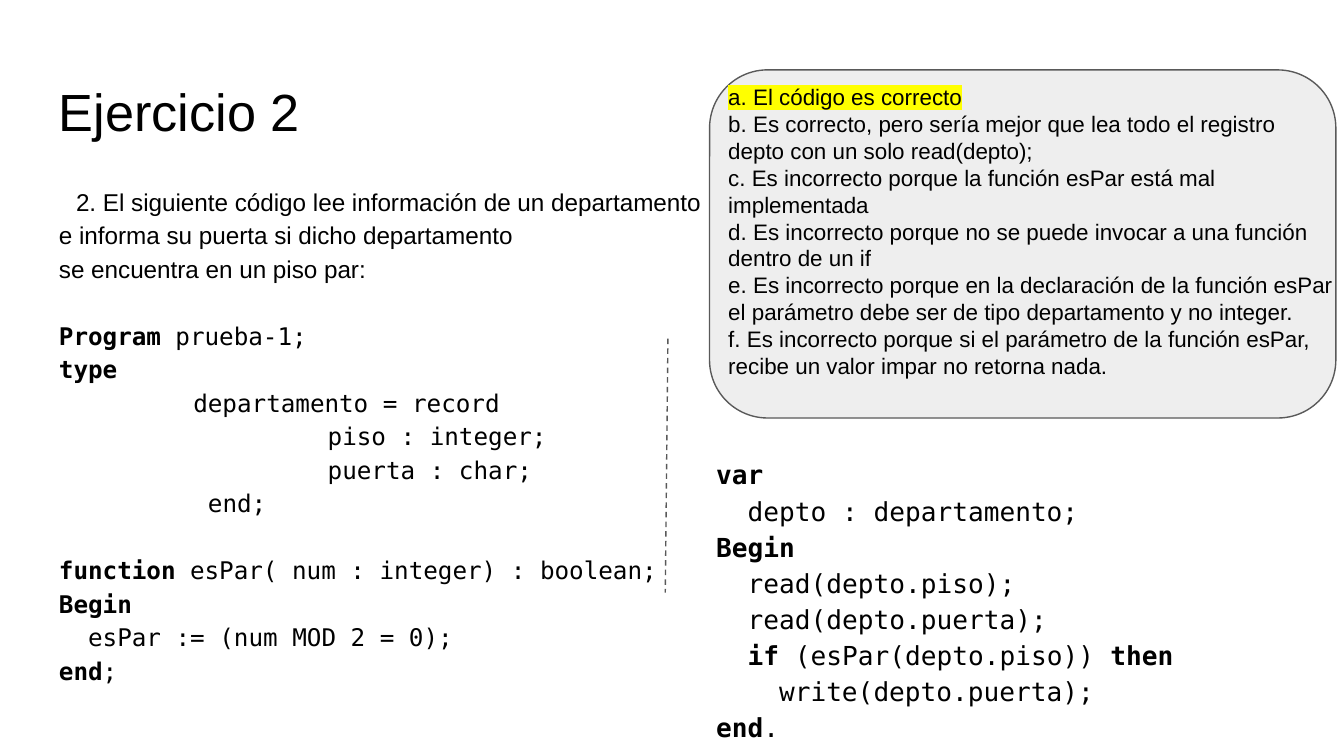
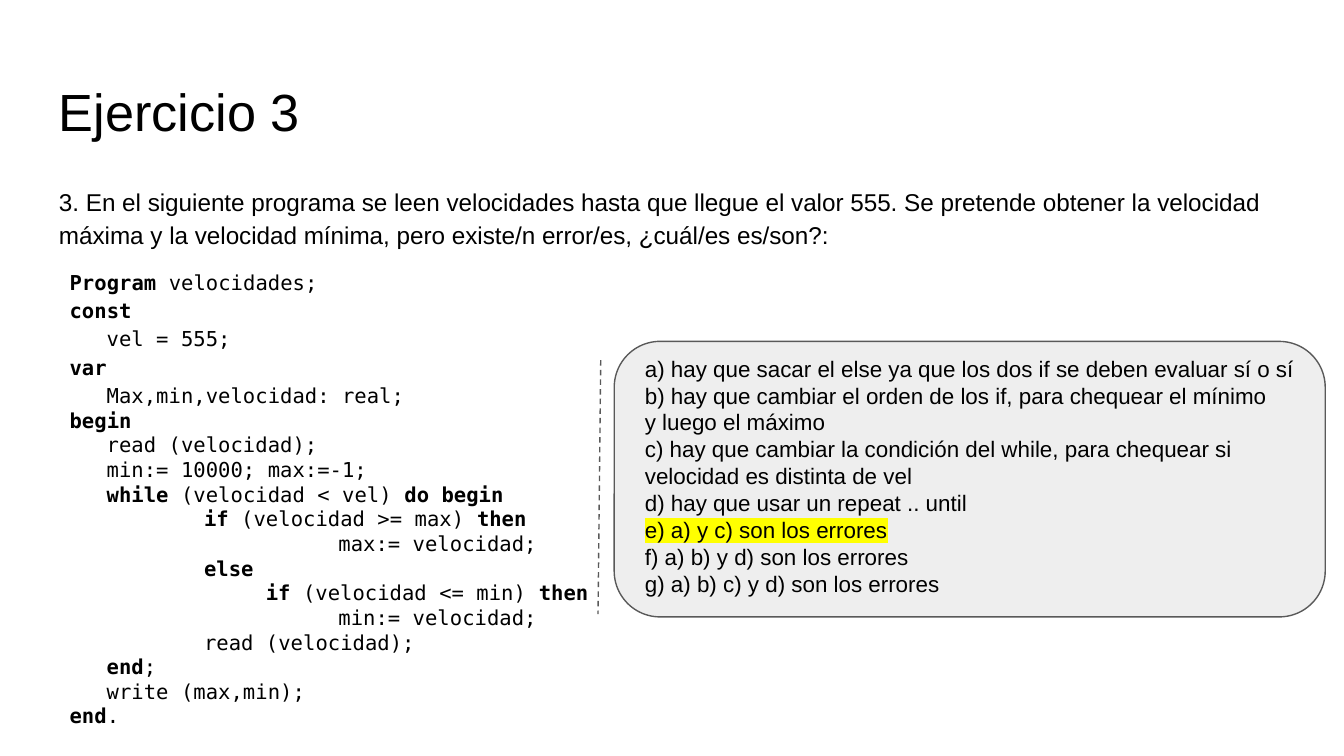
from lxml import etree
from pptx import Presentation
from pptx import util as u
from pptx.dml.color import RGBColor
from pptx.enum import dml, shapes, text
from pptx.oxml import ns

SANS, MONO = "Arial", "DejaVu Sans Mono"
BLACK, GREY, PANEL, YELLOW = "000000", "595959", "EEEEEE", "FFFF00"
TAB = 72            # one tab stop, in points
MONO_WIDTH = 0.602  # width of a code character, in ems
LEFT, WIDTH = 24.48, 671.04


def color(value):
    return RGBColor.from_string(value)


class Deck:
    def __init__(self):
        self.presentation = Presentation()
        self.presentation.slide_width = u.Pt(720)
        self.presentation.slide_height = u.Pt(405)
        self.slide = None

    def add_slide(self, title):
        self.slide = self.presentation.slides.add_slide(self.presentation.slide_layouts[6])
        frame = self.textbox(LEFT, 35.28, WIDTH, 45.36)
        self.add_text(frame, title, 28)

    def textbox(self, left, top, width, height, parent=None):
        owner = parent or self.slide
        box = owner.shapes.add_textbox(u.Pt(left), u.Pt(top), u.Pt(width), u.Pt(height))
        frame = box.text_frame
        frame.word_wrap = True
        frame.vertical_anchor = text.MSO_ANCHOR.TOP
        frame.margin_left = frame.margin_right = u.Pt(7.2)
        frame.margin_top = frame.margin_bottom = u.Pt(7.2)
        return frame

    def add_text(self, frame, line, size, font=SANS, spacing=None, highlight=None):
        """Add one paragraph; parts between asterisks are bold."""
        paragraph = frame.paragraphs[0]
        if paragraph.runs:
            paragraph = frame.add_paragraph()
        paragraph.line_spacing = spacing
        for index, part in enumerate(line.split("*")):
            if not part:
                continue
            run = paragraph.add_run()
            run.text = part
            run.font.size = u.Pt(size)
            run.font.bold = index % 2 == 1
            run.font.color.rgb = color(BLACK)
            if highlight:
                mark = etree.SubElement(run.font._element, ns.qn("a:highlight"))
                etree.SubElement(mark, ns.qn("a:srgbClr"), val=highlight)
            run.font.name = font
        return paragraph

    def code(self, frame, lines, size, spacing=1.15):
        """Each line holds its tabs, its columns after them and its text."""
        for tabs, columns, line in lines:
            paragraph = self.add_text(frame, line, size, MONO, spacing)
            indent = tabs * TAB + columns * MONO_WIDTH * size
            paragraph._p.get_or_add_pPr().set("marL", str(u.Pt(indent)))

    def divider(self, left, top):
        line = self.slide.shapes.add_connector(
            shapes.MSO_CONNECTOR.STRAIGHT,
            u.Pt(left), u.Pt(top), u.Pt(left - 1.44), u.Pt(top + 136.08))
        line.line.color.rgb = color(GREY)
        line.line.width = u.Pt(0.75)
        line.line.dash_style = dml.MSO_LINE.DASH
        etree.SubElement(line._element.spPr, ns.qn("a:effectLst"))

    def options(self, left, top, width, height, text_left, text_width, lines, answer):
        group = self.slide.shapes.add_group_shape()
        panel = group.shapes.add_shape(
            shapes.MSO_SHAPE.ROUNDED_RECTANGLE,
            u.Pt(left), u.Pt(top), u.Pt(width), u.Pt(height))
        panel.shadow.inherit = False
        panel.fill.solid()
        panel.fill.fore_color.rgb = color(PANEL)
        panel.line.color.rgb = color(GREY)
        panel.line.width = u.Pt(0.75)
        frame = self.textbox(text_left, top, text_width, 64, group)
        for line in lines:
            self.add_text(frame, line, 12, highlight=YELLOW if line == answer else None)


def exercise_2(deck):
    deck.add_slide("Ejercicio 2")

    # Statement and declarations
    body = deck.textbox(LEFT, 90.72, WIDTH, 269.28)
    statement = [
        "2. El siguiente código lee información de un departamento",
        "e informa su puerta si dicho departamento",
        "se encuentra en un piso par:",
    ]
    for line in statement:
        deck.add_text(body, line, 13, spacing=1.15)
    body.paragraphs[0]._p.get_or_add_pPr().set("indent", str(u.Pt(9.17)))
    deck.code(body, [
        (0, 0, "*Program* prueba-1;"),
        (0, 0, "*type*"),
        (1, 0, "departamento = record"),
        (2, 0, "piso : integer;"),
        (2, 0, "puerta : char;"),
        (1, 1, "end;"),
        (0, 0, "*function* esPar( num : integer) : boolean;"),
        (0, 0, "*Begin*"),
        (0, 2, "esPar := (num MOD 2 = 0);"),
        (0, 0, "*end*;"),
    ], 13)
    for paragraph in body.paragraphs:
        if paragraph.text.startswith(("Program", "function")):
            paragraph.space_before = u.Pt(18)

    # Main program
    program = deck.textbox(376.56, 236.16, 318.24, 172.8)
    deck.code(program, [
        (0, 0, "*var*"),
        (0, 2, "depto : departamento;"),
        (0, 0, "*Begin*"),
        (0, 2, "read(depto.piso);"),
        (0, 2, "read(depto.puerta);"),
        (0, 2, "*if* (esPar(depto.piso)) *then*"),
        (0, 4, "write(depto.puerta);"),
        (0, 0, "*end*."),
    ], 14)
    deck.divider(357.84, 181.44)

    # Answers
    answer = "a. El código es correcto"
    deck.options(380.16, 37.44, 335.52, 186.48, 383.04, 387.36, [
        answer,
        "b. Es correcto, pero sería mejor que lea todo el registro",
        "depto con un solo read(depto);",
        "c. Es incorrecto porque la función esPar está mal",
        "implementada",
        "d. Es incorrecto porque no se puede invocar a una función",
        "dentro de un if",
        "e. Es incorrecto porque en la declaración de la función esPar",
        "el parámetro debe ser de tipo departamento y no integer.",
        "f. Es incorrecto porque si el parámetro de la función esPar,",
        "recibe un valor impar no retorna nada.",
    ], answer)


def exercise_3(deck):
    deck.add_slide("Ejercicio 3")

    # Statement
    body = deck.textbox(LEFT, 90.72, WIDTH, 55.44)
    deck.add_text(body, "3. En el siguiente programa se leen velocidades hasta que llegue "
                        "el valor 555. Se pretende obtener la velocidad máxima y la velocidad "
                        "mínima, pero existe/n error/es, ¿cuál/es es/son?:", 13, spacing=1.15)

    # Program
    program = deck.textbox(30.24, 135.36, 318.96, 122.4)
    deck.code(program, [
        (0, 0, "*Program* velocidades;"),
        (0, 0, "*const*"),
        (0, 3, "vel = 555;"),
        (0, 0, "*var*"),
        (0, 3, "Max,min,velocidad: real;"),
    ], 11)
    deck.code(program, [
        (0, 0, "*begin*"),
        (0, 3, "read (velocidad);"),
        (0, 3, "min:= 10000; max:=-1;"),
        (0, 3, "*while* (velocidad < vel) *do begin*"),
        (1, 0, "*if* (velocidad >= max) *then*"),
        (2, 0, "max:= velocidad;"),
        (1, 0, "*else*"),
        (1, 5, "*if* (velocidad <= min) *then*"),
        (2, 0, "min:= velocidad;"),
        (1, 0, "read (velocidad);"),
        (0, 3, "*end*;"),
        (0, 3, "write (max,min);"),
        (0, 0, "*end*."),
    ], 11, spacing=None)
    deck.divider(321.84, 192.96)

    # Answers
    answer = "e) a) y c) son los errores"
    deck.options(329.04, 182.88, 380.88, 147.6, 338.4, 422.64, [
        "a) hay que sacar el else ya que los dos if se deben evaluar sí o sí",
        "b) hay que cambiar el orden de los if, para chequear el mínimo",
        "y luego el máximo",
        "c) hay que cambiar la condición del while, para chequear si",
        "velocidad es distinta de vel",
        "d) hay que usar un repeat .. until",
        answer,
        "f) a) b) y d) son los errores",
        "g) a) b) c) y d) son los errores",
    ], answer)


def main():
    deck = Deck()
    exercise_2(deck)
    exercise_3(deck)
    deck.presentation.save("out.pptx")


if __name__ == "__main__":
    main()
